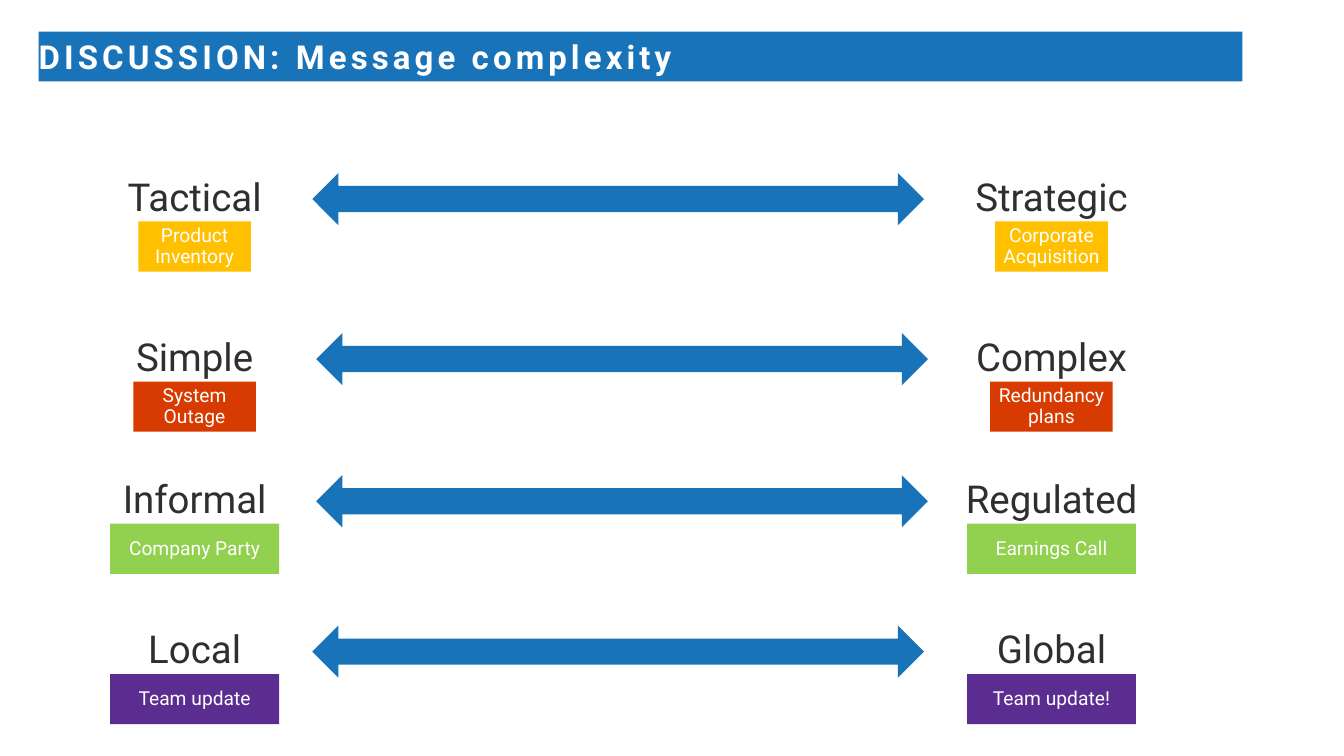
"""Build the message complexity slide: four scales between opposite poles."""
from dataclasses import dataclass

from pptx import Presentation
from pptx.dml.color import RGBColor
from pptx.enum.shapes import MSO_SHAPE
from pptx.enum.text import MSO_ANCHOR, MSO_AUTO_SIZE, PP_ALIGN
from pptx.util import Pt

FONT = "Roboto"
BLUE, WHITE, INK = "1973B9", "FFFFFF", "2F2F2F"
LEFT_CENTER, RIGHT_CENTER = 141.8, 766.1
ARROW_WIDTH, ARROW_HEIGHT = 445.7, 38
LABEL_RISE, LABEL_HEIGHT = 7.9, 54
TAG_DROP, TAG_HEIGHT = 35.4, 36.5


@dataclass
class Pole:
    label: str
    label_width: float
    example: str


@dataclass
class Scale:
    top: float
    arrow_left: float
    tag_width: float
    color: str
    left: Pole
    right: Pole


SCALES = [
    Scale(126, 227.5, 82, "FFC000",
          Pole("Tactical", 165, "Product Inventory"),
          Pole("Strategic", 165, "Corporate Acquisition")),
    Scale(242.6, 230.4, 89.3, "D83B01",
          Pole("Simple", 135.4, "System Outage"),
          Pole("Complex", 165, "Redundancy plans")),
    Scale(346.2, 230.4, 123, "92D050",
          Pole("Informal", 152.6, "Company Party"),
          Pole("Regulated", 174.2, "Earnings Call")),
    Scale(455.8, 227.5, 123, "5C2D91",
          Pole("Local", 152.6, "Team update"),
          Pole("Global", 174.2, "Team update!")),
]


def color(value: str) -> RGBColor:
    return RGBColor.from_string(value)


def paint(shape, fill: str) -> None:
    shape.fill.solid()
    shape.fill.fore_color.rgb = color(fill)
    shape.line.fill.background()
    shape.shadow.inherit = False


def set_margins(frame, across: float, down: float) -> None:
    frame.margin_left = frame.margin_right = Pt(across)
    frame.margin_top = frame.margin_bottom = Pt(down)
    frame.word_wrap = True


def add_span(para, text: str, size: float, ink: str):
    span = para.add_run()
    span.text = text
    span.font.name = FONT
    span.font.size = Pt(size)
    span.font.color.rgb = color(ink)
    return span


def add_title(page, text: str) -> None:
    title = page.shapes.title
    title.left, title.top, title.width, title.height = Pt(28.1), Pt(23), Pt(877), Pt(36.3)
    title.fill.solid()
    title.fill.fore_color.rgb = color(BLUE)
    frame = title.text_frame
    set_margins(frame, 0, 3.6)
    frame.auto_size = MSO_AUTO_SIZE.NONE
    frame.vertical_anchor = MSO_ANCHOR.MIDDLE
    para = frame.paragraphs[0]
    para.alignment = PP_ALIGN.LEFT
    span = add_span(para, text, 24, WHITE)
    span.font.bold = True
    span._r.get_or_add_rPr().set("spc", "300")


def add_arrow(page, scale: Scale) -> None:
    arrow = page.shapes.add_shape(
        MSO_SHAPE.LEFT_RIGHT_ARROW, Pt(scale.arrow_left), Pt(scale.top),
        Pt(ARROW_WIDTH), Pt(ARROW_HEIGHT))
    paint(arrow, BLUE)


def add_label(page, pole: Pole, center: float, top: float) -> None:
    box = page.shapes.add_textbox(
        Pt(center - pole.label_width / 2), Pt(top), Pt(pole.label_width), Pt(LABEL_HEIGHT))
    set_margins(box.text_frame, 14.4, 11.5)
    box.text_frame.auto_size = MSO_AUTO_SIZE.SHAPE_TO_FIT_TEXT
    para = box.text_frame.paragraphs[0]
    para.alignment = PP_ALIGN.CENTER
    para.line_spacing = 0.9
    para.space_after = Pt(6)
    add_span(para, pole.label, 28, INK)


def add_tag(page, text: str, center: float, top: float, width: float, fill: str) -> None:
    tag = page.shapes.add_shape(
        MSO_SHAPE.RECTANGLE, Pt(center - width / 2), Pt(top), Pt(width), Pt(TAG_HEIGHT))
    paint(tag, fill)
    set_margins(tag.text_frame, 5.8, 5.8)
    tag.text_frame.vertical_anchor = MSO_ANCHOR.MIDDLE
    para = tag.text_frame.paragraphs[0]
    para.alignment = PP_ALIGN.CENTER
    para.line_spacing = 0.9
    add_span(para, text, 14, WHITE)


def main() -> None:
    deck = Presentation()
    deck.slide_width, deck.slide_height = Pt(979.2), Pt(550.8)
    page = deck.slides.add_slide(deck.slide_layouts[5])
    add_title(page, "DISCUSSION: Message complexity")
    for scale in SCALES:
        add_arrow(page, scale)
        for pole, center in ((scale.left, LEFT_CENTER), (scale.right, RIGHT_CENTER)):
            add_label(page, pole, center, scale.top - LABEL_RISE)
            add_tag(page, pole.example, center, scale.top + TAG_DROP,
                    scale.tag_width, scale.color)
    deck.save("out.pptx")


if __name__ == "__main__":
    main()
